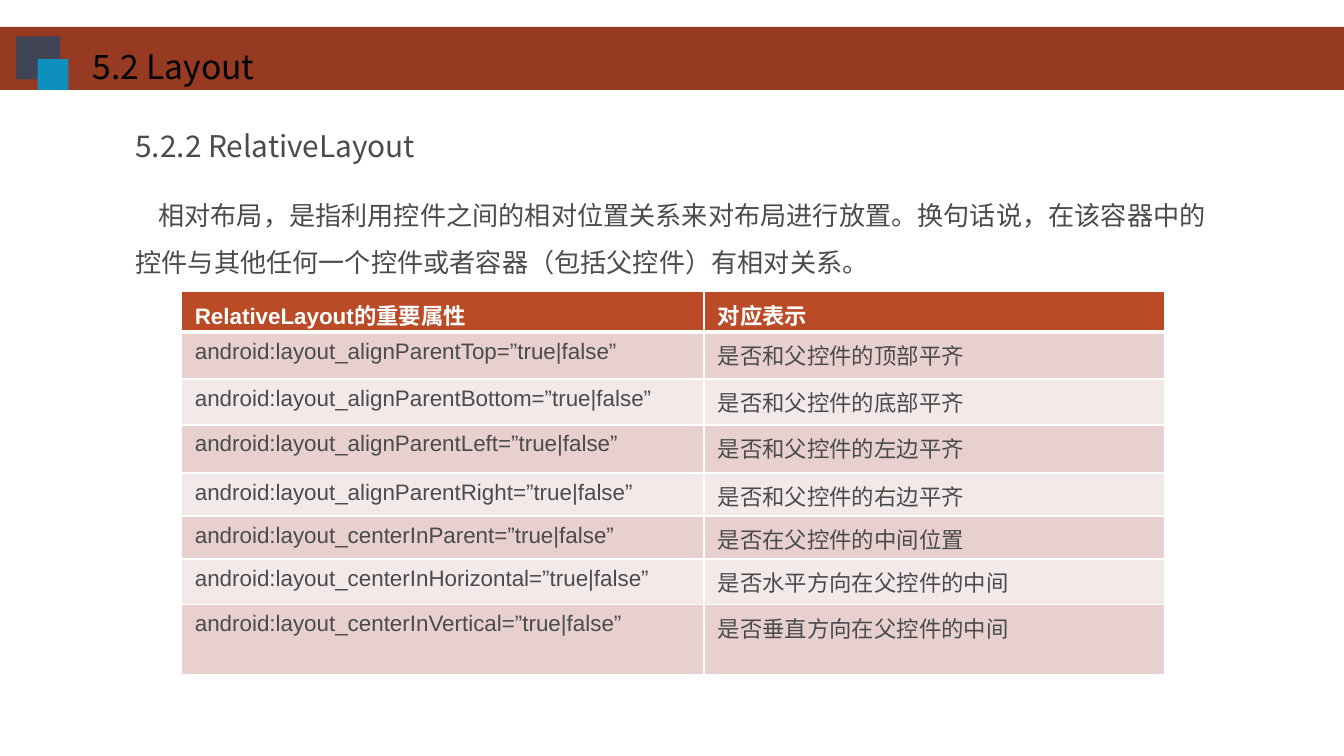
from typing import NamedTuple

from lxml.etree import SubElement
from pptx import Presentation
from pptx.dml.color import RGBColor
from pptx.enum.shapes import MSO_SHAPE
from pptx.oxml.ns import qn
from pptx.util import Inches, Pt

SLIDE_WIDTH = 10
SLIDE_HEIGHT = SLIDE_WIDTH * 9 / 16
CJK_FONT = "Noto Sans CJK SC"
INK, WHITE = "494B4D", "FFFFFF"
HEADER_FILL, BAND_FILLS = "BB4A27", ("E7D0CD", "F3E9E8")


class Box(NamedTuple):
    left: float
    top: float
    width: float
    height: float

    def lengths(self) -> list:
        return [Inches(value) for value in self]


class Block(NamedTuple):
    box: Box
    fill: str


class Attribute(NamedTuple):
    name: str
    meaning: str
    height: float


BLOCKS = [
    Block(Box(0, 0.2, SLIDE_WIDTH, 0.47), "963B22"),
    Block(Box(0.12, 0.27, 0.33, 0.32), "414455"),
    Block(Box(0.28, 0.44, 0.23, 0.23), "0E90BE"),
]
HEADINGS = ("RelativeLayout的重要属性", "对应表示")
HEADER_HEIGHT = 0.3
COLUMN_WIDTHS = (3.89, 3.43)
ATTRIBUTES = [
    Attribute("alignParentTop", "是否和父控件的顶部平齐", 0.35),
    Attribute("alignParentBottom", "是否和父控件的底部平齐", 0.34),
    Attribute("alignParentLeft", "是否和父控件的左边平齐", 0.36),
    Attribute("alignParentRight", "是否和父控件的右边平齐", 0.32),
    Attribute("centerInParent", "是否在父控件的中间位置", 0.32),
    Attribute("centerInHorizontal", "是否水平方向在父控件的中间", 0.34),
    Attribute("centerInVertical", "是否垂直方向在父控件的中间", 0.52),
]


def rgb(color: str) -> RGBColor:
    return RGBColor.from_string(color)


def write(frame, text: str, *, size: float, color: str = INK, font: str = CJK_FONT,
          bold: bool = False, spacing: float = 1, indent: float = 0) -> None:
    paragraph = frame.paragraphs[0]
    paragraph.line_spacing = spacing
    if indent:
        paragraph._p.get_or_add_pPr().set("indent", str(Inches(indent)))
    run = paragraph.add_run()
    run.text = text
    run.font.size, run.font.bold, run.font.name = Pt(size), bold, font
    run.font.color.rgb = rgb(color)
    SubElement(run._r.rPr, qn("a:ea")).set("typeface", CJK_FONT)


def add_block(slide, block: Block) -> None:
    shape = slide.shapes.add_shape(MSO_SHAPE.RECTANGLE, *block.box.lengths())
    shape.shadow.inherit = False
    shape.fill.solid()
    shape.fill.fore_color.rgb = rgb(block.fill)
    shape.line.fill.background()


def add_text(slide, box: Box, text: str, wrap: bool = True, **text_format) -> None:
    frame = slide.shapes.add_textbox(*box.lengths()).text_frame
    frame.word_wrap = wrap
    write(frame, text, **text_format)


def set_borders(cell, **widths: float) -> None:
    """Draw white borders; keywords are the side tags lnL, lnR, lnT, lnB in points."""
    properties = cell._tc.get_or_add_tcPr()
    for position, (side, width) in enumerate(widths.items()):
        line = properties.makeelement(qn(f"a:{side}"), {"w": str(Pt(width))})
        fill = SubElement(line, qn("a:solidFill"))
        SubElement(fill, qn("a:srgbClr")).set("val", WHITE)
        properties.insert(position, line)


def add_attribute_table(slide, box: Box) -> None:
    table = slide.shapes.add_table(len(ATTRIBUTES) + 1, len(HEADINGS), *box.lengths()).table
    for column, width in zip(table.columns, COLUMN_WIDTHS):
        column.width = Inches(width)
    rows = [(HEADINGS, HEADER_HEIGHT)] + [
        ((f"android:layout_{item.name}=”true|false”", item.meaning), item.height)
        for item in ATTRIBUTES
    ]
    for index, (texts, height) in enumerate(rows):
        header = index == 0
        table.rows[index].height = Inches(height)
        for column, text in enumerate(texts):
            cell = table.cell(index, column)
            cell.fill.solid()
            cell.fill.fore_color.rgb = rgb(HEADER_FILL if header else BAND_FILLS[(index - 1) % 2])
            set_borders(cell, lnL=1, lnR=1, lnT=3 if index == 1 else 1, lnB=3 if header else 1)
            write(cell.text_frame, text, size=12, bold=header,
                  color=WHITE if header else INK,
                  font="Calibri" if header and column else "Arial")


def main() -> None:
    deck = Presentation()
    deck.slide_width, deck.slide_height = Inches(SLIDE_WIDTH), Inches(SLIDE_HEIGHT)
    slide = deck.slides.add_slide(deck.slide_layouts[6])
    for block in BLOCKS:
        add_block(slide, block)
    add_text(slide, Box(0.59, 0.29, 1.43, 0.72), "5.2 Layout", wrap=False,
             size=18, color="000000")
    add_text(slide, Box(0.91, 0.9, 4.23, 0.65), "5.2.2 RelativeLayout", size=16)
    add_text(slide, Box(0.91, 1.32, 8.19, 0.81),
             "相对布局，是指利用控件之间的相对位置关系来对布局进行放置。"
             "换句话说，在该容器中的控件与其他任何一个控件或者容器（包括父控件）有相对关系。",
             size=14, spacing=1.5, indent=0.17)
    add_attribute_table(slide, Box(1.35, 2.17, sum(COLUMN_WIDTHS), 2.85))
    deck.save("out.pptx")


if __name__ == "__main__":
    main()
